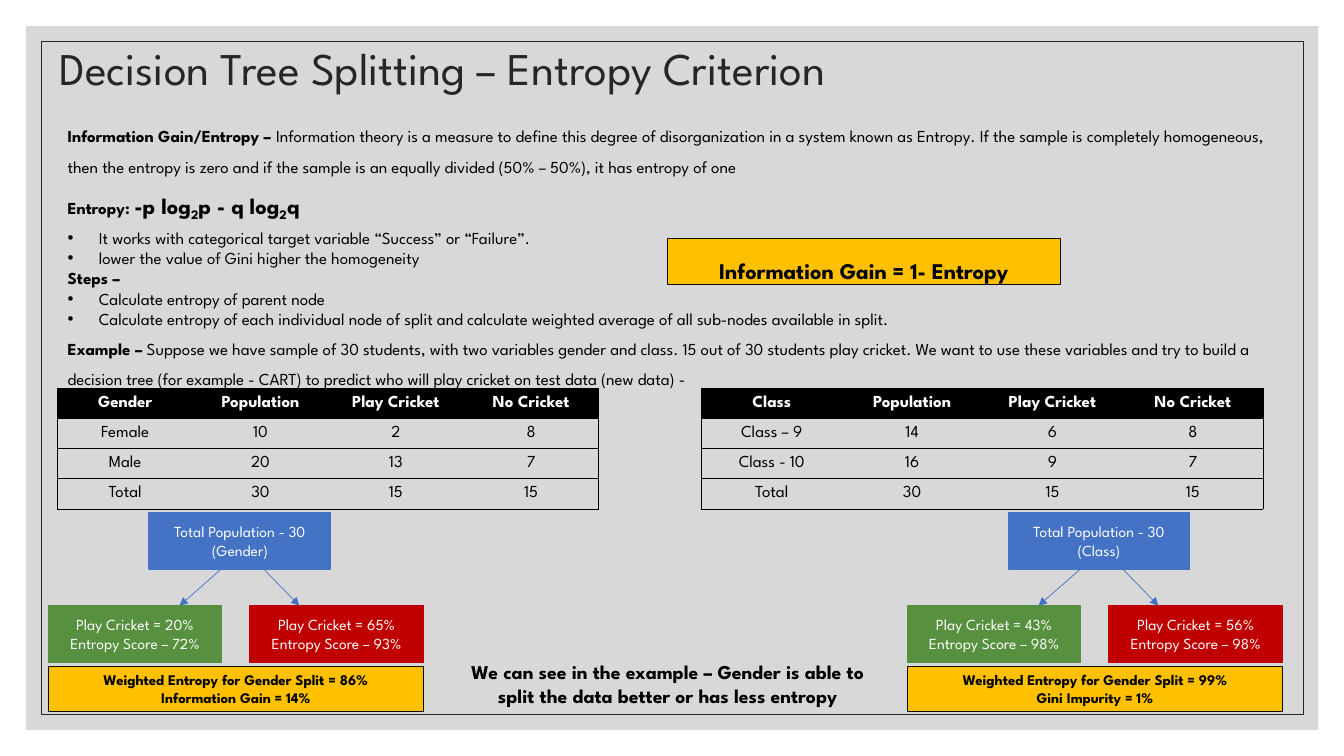
"""Build a slide on splitting decision trees by the entropy criterion."""
from dataclasses import dataclass

from lxml import etree
from pptx import Presentation
from pptx.dml.color import RGBColor
from pptx.enum.shapes import MSO_CONNECTOR, MSO_SHAPE
from pptx.enum.text import MSO_ANCHOR, MSO_AUTO_SIZE, PP_ALIGN
from pptx.oxml import parse_xml
from pptx.oxml.ns import nsdecls, qn
from pptx.util import Inches, Pt

RECTANGLE = MSO_SHAPE.RECTANGLE
STRAIGHT = MSO_CONNECTOR.STRAIGHT
TOP, MIDDLE = MSO_ANCHOR.TOP, MSO_ANCHOR.MIDDLE
LEFT, CENTER = PP_ALIGN.LEFT, PP_ALIGN.CENTER
NO_FIT = MSO_AUTO_SIZE.NONE


@dataclass(frozen=True)
class Theme:
    font: str = "League Spartan"
    ink: str = "000000"
    paper: str = "FFFFFF"
    panel: str = "BFBFBF"
    frame: str = "262626"
    edge: str = "0D0D0D"
    root: str = "4472C4"
    plays: str = "57903F"
    rejects: str = "C00000"
    result: str = "FFC000"
    title_size: float = 32.4
    formula_size: float = 16
    takeaway_size: float = 14
    body_size: float = 12
    node_size: float = 11
    result_size: float = 10.5


THEME = Theme()
deck = Presentation()
deck.slide_width, deck.slide_height = Inches(13.33), Inches(7.5)


def area(left, top, width, height):
    """Turn percentages of the slide into lengths."""
    across, down = deck.slide_width / 100, deck.slide_height / 100
    return [round(share) for share in (left * across, top * down, width * across, height * down)]


def write(frame, *parts, size=THEME.body_size, color=THEME.ink, bold=False,
          align=LEFT, spacing=1.0, after=0, bullet=False):
    """Add one paragraph of strings or (string, format) pairs."""
    paragraph = frame.paragraphs[0]
    if paragraph.runs:
        paragraph = frame.add_paragraph()
    paragraph.alignment = align
    paragraph.line_spacing = spacing
    paragraph.space_before, paragraph.space_after = Pt(0), Pt(after)
    properties = paragraph._p.get_or_add_pPr()
    indent = Inches(0.31) if bullet else 0
    properties.set("marL", str(indent))
    properties.set("indent", str(-indent))
    if bullet:
        etree.SubElement(properties, qn("a:buFont")).set("typeface", "Arial")
        etree.SubElement(properties, qn("a:buChar")).set("char", "•")
    else:
        etree.SubElement(properties, qn("a:buNone"))
    for part in parts:
        words, style = (part, {}) if isinstance(part, str) else part
        run = paragraph.add_run()
        run.text = words
        run.font.name = THEME.font
        run.font.size = Pt(style.get("size", size))
        run.font.bold = style.get("bold", bold)
        run.font.color.rgb = RGBColor.from_string(color)
        if "baseline" in style:
            run._r.get_or_add_rPr().set("baseline", str(style["baseline"]))


slide = deck.slides.add_slide(deck.slide_layouts[1])
shapes = slide.shapes
title, body = shapes.title, slide.placeholders[1]

panel = shapes.add_shape(RECTANGLE, *area(1.95, 3.47, 96.15, 93.07))
panel.shadow.inherit = False
panel.fill.solid()
panel.fill.fore_color.rgb = RGBColor.from_string(THEME.panel)
panel_color = panel.fill._xPr.find(qn("a:solidFill"))[0]
etree.SubElement(panel_color, qn("a:alpha")).set("val", "60000")
panel.line.fill.background()

border = shapes.add_shape(RECTANGLE, *area(3.08, 5.47, 93.92, 89.07))
border.shadow.inherit = False
border.fill.background()
border.line.color.rgb = RGBColor.from_string(THEME.frame)
border.line.width = Pt(0.5)

for placeholder, place, anchor in (
    (title, area(3.68, 5.33, 82.52, 8.13), MIDDLE),
    (body, area(4.28, 14.67, 92.65, 64.13), TOP),
):
    shapes._spTree.append(placeholder._element)
    placeholder.left, placeholder.top, placeholder.width, placeholder.height = place
    placeholder.text_frame.auto_size = NO_FIT
    placeholder.text_frame.word_wrap = True
    placeholder.text_frame.vertical_anchor = anchor

write(title.text_frame, "Decision Tree Splitting – Entropy Criterion",
      size=THEME.title_size, color=THEME.frame, spacing=0.9)

STRONG = {"bold": True}
FORMULA = {"bold": True, "size": THEME.formula_size}
SUBSCRIPT = {**FORMULA, "baseline": -25000}
explanation = (
    ([("Information Gain/Entropy – ", STRONG),
      "Information theory is a measure to define this degree of disorganization in a system known as "
      "Entropy. If the sample is completely homogeneous, then the entropy is zero and if the sample is "
      "an equally divided (50% – 50%), it has entropy of one"], {"spacing": 1.5}),
    ([("Entropy: ", STRONG), ("-p log", FORMULA), ("2", SUBSCRIPT), ("p - q log", FORMULA),
      ("2", SUBSCRIPT), ("q", FORMULA)], {"spacing": 1.5, "after": 4}),
    (["It works with categorical target variable “Success” or “Failure”."], {"bullet": True}),
    (["lower the value of Gini higher the homogeneity"], {"bullet": True}),
    ([("Steps –", STRONG)], {}),
    (["Calculate entropy of parent node"], {"bullet": True}),
    (["Calculate entropy of each individual node of split and calculate weighted average of all "
      "sub-nodes available in split."], {"bullet": True}),
    ([("Example –", STRONG),
      " Suppose we have sample of 30 students, with two variables gender and class. 15 out of 30 "
      "students play cricket. We want to use these variables and try to build a decision tree (for "
      "example - CART) to predict who will play cricket on test data (new data) -"],
     {"spacing": 1.5, "after": 6}),
)
for parts, layout in explanation:
    write(body.text_frame, *parts, **layout)

counts = (
    (area(4.28, 51.33, 40.28, 16), (
        ("Gender", "Population", "Play Cricket", "No Cricket"),
        ("Female", "10", "2", "8"),
        ("Male", "20", "13", "7"),
        ("Total", "30", "15", "15"))),
    (area(52.2, 51.33, 41.78, 16), (
        ("Class", "Population", "Play Cricket", "No Cricket"),
        ("Class – 9", "14", "6", "8"),
        ("Class - 10", "16", "9", "7"),
        ("Total", "30", "15", "15"))),
)
for place, rows in counts:
    table = shapes.add_table(len(rows), len(rows[0]), *place).table
    table.horz_banding = False
    for row, values in enumerate(rows):
        for column, value in enumerate(values):
            cell = table.cell(row, column)
            cell.vertical_anchor = MIDDLE
            if row == 0:
                cell.fill.solid()
                cell.fill.fore_color.rgb = RGBColor.from_string(THEME.ink)
            else:
                cell.fill.background()
            write(cell.text_frame, value, align=CENTER, bold=row == 0,
                  color=THEME.paper if row == 0 else THEME.ink)
            ruled = {"L": column == 0, "R": column == len(values) - 1, "T": True, "B": True}
            for order, (side, visible) in enumerate(ruled.items()):
                paint = (f'<a:solidFill><a:srgbClr val="{THEME.ink}"/></a:solidFill>'
                         if visible else "<a:noFill/>")
                cell._tc.get_or_add_tcPr().insert(order, parse_xml(
                    f'<a:ln{side} {nsdecls("a")} w="{Pt(0.5)}">{paint}</a:ln{side}>'))

NODE = {"size": THEME.node_size, "color": THEME.paper}
RESULT = {"size": THEME.result_size, "bold": True}
boxes = [(area(49.65, 31.6, 29.25, 6), THEME.result, THEME.edge, 0.75, TOP,
          ["Information Gain = 1- Entropy"], {**FORMULA, "spacing": 1.5, "after": 4})]
branches = []
trees = (
    (3.6, "(Gender)", ("20%", "72%"), ("65%", "93%"), "86%", "Information Gain = 14%"),
    (67.52, "(Class)", ("43%", "98%"), ("56%", "98%"), "99%", "Gini Impurity = 1%"),
)
for start, variable, *leaves, weighted, gain in trees:
    boxes.append((area(start + 7.5, 67.8, 13.5, 7.47), THEME.root, THEME.root, 1, MIDDLE,
                  ["Total Population - 30", variable], NODE))
    for index, ((share, score), fill) in enumerate(zip(leaves, (THEME.plays, THEME.rejects))):
        boxes.append((area(start + 15 * index, 80.13, 12.9, 7.47), fill, fill, 1, MIDDLE,
                      [f"Play Cricket = {share}", f"Entropy Score – {score}"], NODE))
    boxes.append((area(start, 88.13, 27.9, 6), THEME.result, THEME.edge, 0.75, TOP,
                  [f"Weighted Entropy for Gender Split = {weighted}", gain], RESULT))
    branches += [area(start + 12.83, 75.33, start + 9.75, 80.13),
                 area(start + 16.05, 75.33, start + 18.68, 80.13)]

for place, fill, edge, weight, anchor, lines, style in boxes:
    box = shapes.add_shape(RECTANGLE, *place)
    box.shadow.inherit = False
    box.fill.solid()
    box.fill.fore_color.rgb = RGBColor.from_string(fill)
    box.line.color.rgb = RGBColor.from_string(edge)
    box.line.width = Pt(weight)
    box.text_frame.vertical_anchor = anchor
    for line in lines:
        write(box.text_frame, line, align=CENTER, **style)

for ends in branches:
    branch = shapes.add_connector(STRAIGHT, *ends)
    branch.line.color.rgb = RGBColor.from_string(THEME.root)
    branch.line.width = Pt(0.5)
    etree.SubElement(branch.line._get_or_add_ln(), qn("a:tailEnd")).set("type", "triangle")
    etree.SubElement(branch._element.spPr, qn("a:effectLst"))

takeaway = shapes.add_textbox(*area(33.23, 86.67, 32.93, 7.6)).text_frame
takeaway.word_wrap = True
write(takeaway, "We can see in the example – Gender is able to split the data better or has less entropy",
      size=THEME.takeaway_size, bold=True, align=CENTER)

deck.save("out.pptx")
